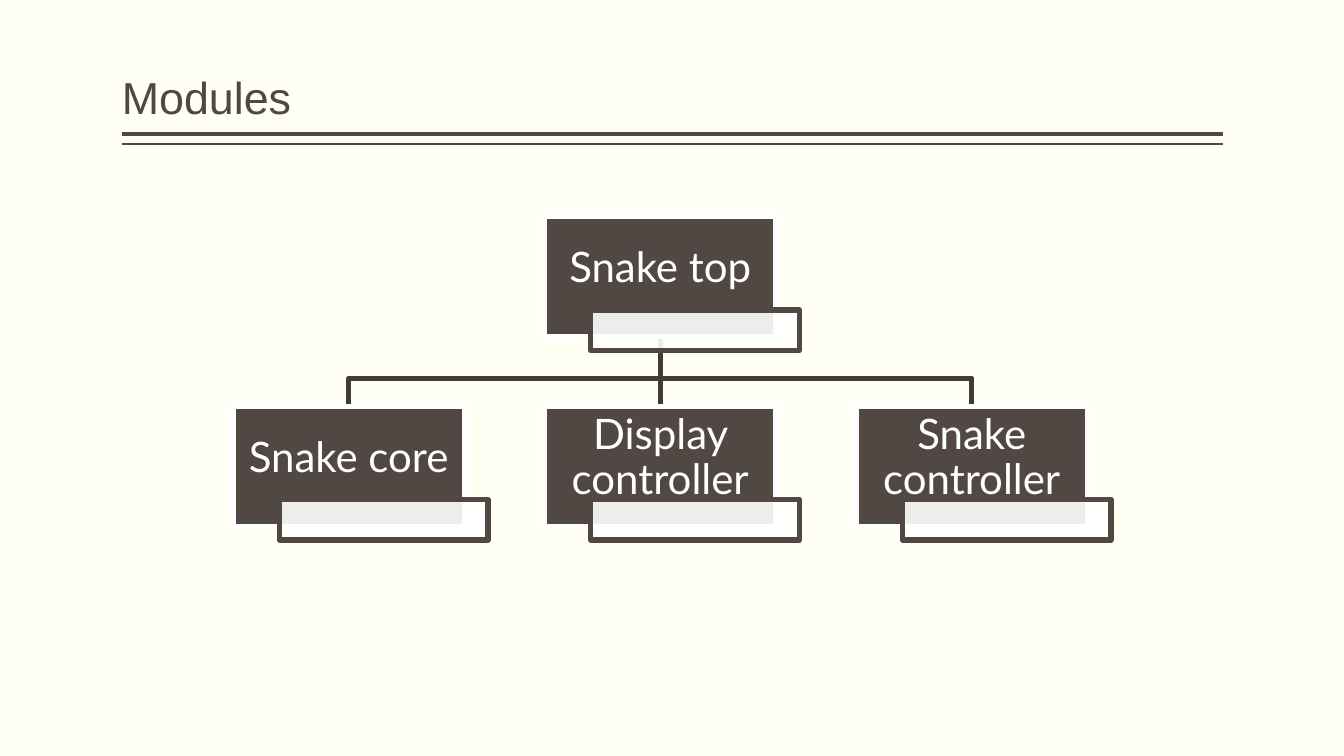
"""Build the module hierarchy slide with one parent and three children."""
from lxml.etree import SubElement
from pptx import Presentation
from pptx.dml.color import RGBColor
from pptx.enum.shapes import MSO_CONNECTOR as Connector, MSO_SHAPE as Shape
from pptx.enum.text import MSO_ANCHOR as Anchor, PP_ALIGN as Align
from pptx.oxml.ns import qn
from pptx.util import Cm, Pt

TITLE = "Modules"
PARENT = "Snake top"
CHILDREN = ["Snake core", "Display controller", "Snake controller"]

BACKGROUND, DARK, LINK, WHITE = "FFFFF3", "514843", "413A36", "FFFFFF"
MARGIN, CONTENT_WIDTH = 3.07, 27.74
RULES = [(3.38, 3), (3.63, 1)]
BOX_WIDTH, BOX_HEIGHT = 5.84, 3.02
TAG_WIDTH, TAG_HEIGHT = 5.26, 1.02
TAG_RIGHT, TAG_DOWN = 1.17, 2.35
FIRST_LEFT, COLUMN_STEP = 5.87, 7.85
PARENT_TOP, CHILD_TOP, BUS_TOP = 5.46, 10.24, 9.53
BORDER = 3.78


def color(value):
    return RGBColor.from_string(value)


def style_line(shape, value, width):
    shape.line.color.rgb = color(value)
    shape.line.width = Pt(width)


def write(frame, text, font, size, value, align, anchor, insets):
    frame.word_wrap = True
    frame.vertical_anchor = anchor
    frame.margin_left, frame.margin_top, frame.margin_right, frame.margin_bottom = map(Cm, insets)
    paragraph = frame.paragraphs[0]
    paragraph.alignment = align
    paragraph.line_spacing = 0.9
    run = paragraph.add_run()
    run.text = text
    run.font.name = font
    run.font.size = Pt(size)
    run.font.color.rgb = color(value)


def add_line(slide, start, end, value, width):
    line = slide.shapes.add_connector(Connector.STRAIGHT, *map(Cm, start + end))
    style_line(line, value, width)
    SubElement(line._element.spPr, qn("a:effectLst"))


def add_link(slide, start, end):
    if start[0] == end[0]:
        add_line(slide, start, end, LINK, BORDER)
        return
    builder = slide.shapes.build_freeform(Cm(start[0]), Cm(start[1]))
    corners = [(start[0], BUS_TOP), (end[0], BUS_TOP), end]
    builder.add_line_segments([(Cm(x), Cm(y)) for x, y in corners], close=False)
    link = builder.convert_to_shape()
    link.shadow.inherit = False
    link.fill.background()
    style_line(link, LINK, BORDER)


def add_rectangle(slide, left, top, width, height, fill, border):
    shape = slide.shapes.add_shape(Shape.RECTANGLE, *map(Cm, (left, top, width, height)))
    shape.shadow.inherit = False
    shape.fill.solid()
    shape.fill.fore_color.rgb = color(fill)
    style_line(shape, border, BORDER)
    return shape


def add_module(slide, name, left, top):
    box = add_rectangle(slide, left, top, BOX_WIDTH, BOX_HEIGHT, DARK, WHITE)
    write(box.text_frame, name, "Lato", 30, WHITE, Align.CENTER, Anchor.MIDDLE,
          (0.05, 0.05, 0.05, 0.43))
    tag = add_rectangle(slide, left + TAG_RIGHT, top + TAG_DOWN, TAG_WIDTH, TAG_HEIGHT, WHITE, DARK)
    fill_color = tag._element.spPr.find(qn("a:solidFill")).find(qn("a:srgbClr"))
    SubElement(fill_color, qn("a:alpha"), val="90000")


def main():
    presentation = Presentation()
    presentation.slide_width, presentation.slide_height = Cm(33.87), Cm(19.05)
    slide = presentation.slides.add_slide(presentation.slide_layouts[5])
    slide.background.fill.solid()
    slide.background.fill.fore_color.rgb = color(BACKGROUND)

    for top, width in RULES:
        add_line(slide, (MARGIN, top), (MARGIN + CONTENT_WIDTH, top), DARK, width)

    title = slide.shapes.title
    title.left, title.top, title.width, title.height = map(Cm, (MARGIN, 0.2, CONTENT_WIDTH, 3.05))
    write(title.text_frame, TITLE, "Arial", 32, DARK, Align.LEFT, Anchor.BOTTOM, (0, 0.13, 0, 0.13))

    lefts = [FIRST_LEFT + index * COLUMN_STEP for index in range(len(CHILDREN))]
    parent_left = lefts[len(lefts) // 2]
    start = (parent_left + BOX_WIDTH / 2, PARENT_TOP + BOX_HEIGHT)
    for left in lefts:
        add_link(slide, start, (left + BOX_WIDTH / 2, CHILD_TOP))

    add_module(slide, PARENT, parent_left, PARENT_TOP)
    for name, left in zip(CHILDREN, lefts):
        add_module(slide, name, left, CHILD_TOP)

    presentation.save("out.pptx")


if __name__ == "__main__":
    main()
